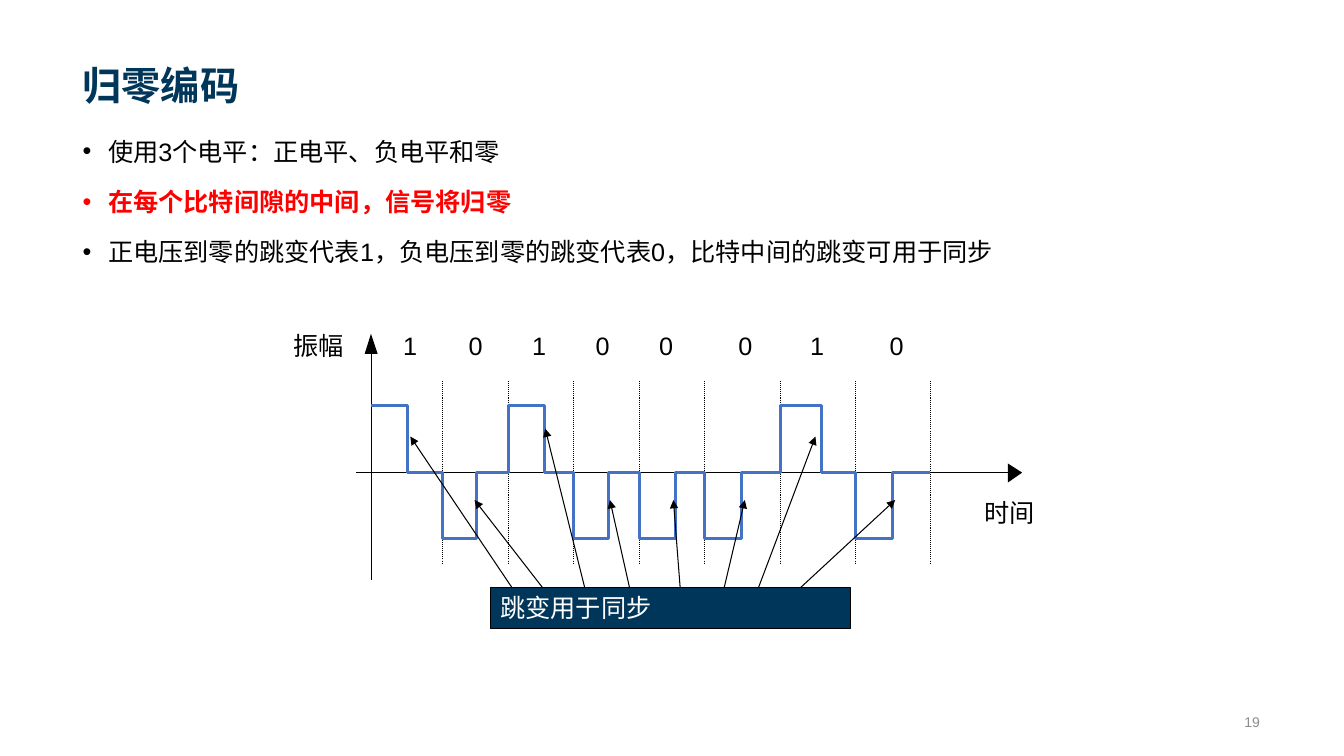
from dataclasses import dataclass

import pptx
import pptx.chart.data
import pptx.dml.color
import pptx.enum.dml
import pptx.enum.shapes
import pptx.enum.text
import pptx.oxml
import pptx.oxml.ns
import pptx.util
from pptx.util import Cm

TITLE = "归零编码"
POINTS = [
    ("使用3个电平：正电平、负电平和零", False),
    ("在每个比特间隙的中间，信号将归零", True),
    ("正电压到零的跳变代表1，负电压到零的跳变代表0，比特中间的跳变可用于同步", False),
]
BITS = "10100010"
EDGES = [9.36, 11.16, 12.82, 14.46, 16.12, 17.76, 19.66, 21.55, 23.44]
MIDS = [10.26, 12.01, 13.72, 15.34, 17.03, 18.69, 20.7, 22.5]
DIGITS = [9.91, 11.56, 13.16, 14.76, 16.36, 18.36, 20.17, 22.17]
LEVELS = {"1": 10.21, "0": 13.58}
ZERO = 11.9
TIPS = [(10.34, 11), (11.96, 12.6), (13.74, 10.8), (15.37, 12.6),
        (16.97, 12.6), (18.77, 12.6), (20.55, 11), (22.56, 12.6)]
TAILS = [13.16, 13.97, 14.83, 15.95, 17.17, 18.16, 18.97, 19.76]
TAIL_Y = 15.19
AXES = [
    ((9.35, 14.61), (9.35, 8.81), [(9.52, 8.92), (9.35, 8.41), (9.19, 8.92)]),
    ((8.97, 11.91), (25.45, 11.91), [(25.4, 12.16), (25.76, 11.91), (25.4, 11.68)]),
]
LABELS = [("振幅", 7.14, 8.2), ("时间", 24.56, 12.4)]
NOTE = "跳变用于同步"
PAGE = "19"


@dataclass
class Theme:
    font: str = "Arial"
    navy: str = "003659"
    black: str = "000000"
    white: str = "FFFFFF"
    red: str = "FF0000"
    grey: str = "8C8C8C"
    wave: str = "4472C4"
    head: int = 28
    text: int = 18
    small: int = 10
    thin: float = 0.75
    thick: float = 2.25


theme = Theme()
ALIGN = pptx.enum.text.PP_ALIGN
ANCHOR = pptx.enum.text.MSO_ANCHOR
FIT = pptx.enum.text.MSO_AUTO_SIZE


def rgb(color):
    return pptx.dml.color.RGBColor.from_string(color)


def style(para, size, color, bold=False, align=ALIGN.LEFT):
    para.alignment = align
    for run in para.runs:
        run.font.name = theme.font
        run.font.size = pptx.util.Pt(size)
        run.font.bold = bold
        run.font.color.rgb = rgb(color)


def place(shape, left, top, width, height):
    shape.left, shape.top = Cm(left), Cm(top)
    shape.width, shape.height = Cm(width), Cm(height)


def stroke(line, color, width):
    line.color.rgb = rgb(color)
    line.width = pptx.util.Pt(width)


def add_line(slide, start, end, dotted=False, arrow=False):
    link = slide.shapes.add_connector(
        pptx.enum.shapes.MSO_CONNECTOR.STRAIGHT, *map(Cm, start + end))
    stroke(link.line, theme.black, theme.thin)
    if dotted:
        link.line.dash_style = pptx.enum.dml.MSO_LINE.ROUND_DOT
    if arrow:
        tip = pptx.oxml.parse_xml(
            f'<a:headEnd {pptx.oxml.ns.nsdecls("a")} type="triangle"/>')
        link.get_or_add_ln().append(tip)
    link.element.spPr.append(
        pptx.oxml.parse_xml(f'<a:effectLst {pptx.oxml.ns.nsdecls("a")}/>'))


def add_outline(slide, dots, close):
    dots = [(Cm(x), Cm(y)) for x, y in dots]
    draft = slide.shapes.build_freeform(*dots[0], scale=1.0)
    draft.add_line_segments(dots[1:], close=close)
    shape = draft.convert_to_shape()
    shape.shadow.inherit = False
    return shape


def add_label(slide, text, left, top, width):
    box = slide.shapes.add_textbox(Cm(left), Cm(top), Cm(width), Cm(1.02))
    box.text_frame.word_wrap = False
    box.text_frame.text = text
    style(box.text_frame.paragraphs[0], theme.text, theme.black)


def fill_text(slide):
    title, body = slide.placeholders
    place(title, 1.83, 0.36, 30.18, 2.49)
    title.text_frame.text = TITLE
    title.text_frame.vertical_anchor = ANCHOR.BOTTOM
    title.text_frame.auto_size = FIT.NONE
    style(title.text_frame.paragraphs[0], theme.head, theme.navy, True)

    place(body, 1.83, 3.15, 30.18, 13.89)
    frame = body.text_frame
    frame.text = "\n".join(text for text, _ in POINTS)
    frame.auto_size = FIT.NONE
    for i, (para, (_, strong)) in enumerate(zip(frame.paragraphs, POINTS)):
        props = para._p.get_or_add_pPr()
        props.set("marL", str(Cm(0.64)))
        props.set("indent", str(-Cm(0.64)))
        para.line_spacing = 1.2
        para.space_before = pptx.util.Pt(10 if i else 0)
        style(para, theme.text, theme.red if strong else theme.black, strong)

    page = slide.shapes.add_textbox(Cm(21.59), Cm(17.81), Cm(10.41), Cm(0.76))
    page.text_frame.word_wrap = True
    page.text_frame.vertical_anchor = ANCHOR.MIDDLE
    page.text_frame.text = PAGE
    style(page.text_frame.paragraphs[0], theme.small, theme.grey, align=ALIGN.RIGHT)


def draw_signal(slide):
    for start, end, tip in AXES:
        add_line(slide, start, end)
        head = add_outline(slide, tip, True)
        head.fill.solid()
        head.fill.fore_color.rgb = rgb(theme.black)
        head.line.fill.background()
    for edge in EDGES[1:]:
        add_line(slide, (edge, 9.6), (edge, 14.2), dotted=True)

    dots = []
    for bit, start, mid, end in zip(BITS, EDGES, MIDS, EDGES[1:]):
        level = LEVELS[bit]
        dots += [(start, level), (mid, level), (mid, ZERO), (end, ZERO)]
    wave = add_outline(slide, dots, False)
    wave.fill.background()
    stroke(wave.line, theme.wave, theme.thick)

    for bit, left in zip(BITS, DIGITS):
        add_label(slide, bit, left, 8.2, 0.86)
    for text, left, top in LABELS:
        add_label(slide, text, left, top, 1.78)


def draw_note(slide):
    for tip, tail in zip(TIPS, TAILS):
        add_line(slide, tip, (tail, TAIL_Y), arrow=True)
    box = slide.shapes.add_shape(
        pptx.enum.shapes.MSO_SHAPE.RECTANGLE, Cm(12.36), Cm(14.81), Cm(9.07), Cm(1.04))
    box.shadow.inherit = False
    box.fill.solid()
    box.fill.fore_color.rgb = rgb(theme.navy)
    stroke(box.line, theme.black, theme.thin)
    box.text_frame.text = NOTE
    box.text_frame.vertical_anchor = ANCHOR.TOP
    style(box.text_frame.paragraphs[0], theme.text, theme.white)


def main():
    deck = pptx.Presentation()
    deck.slide_width, deck.slide_height = Cm(33.87), Cm(19.05)
    slide = deck.slides.add_slide(deck.slide_layouts[1])
    fill_text(slide)
    draw_signal(slide)
    draw_note(slide)
    deck.save("out.pptx")


if __name__ == "__main__":
    main()
